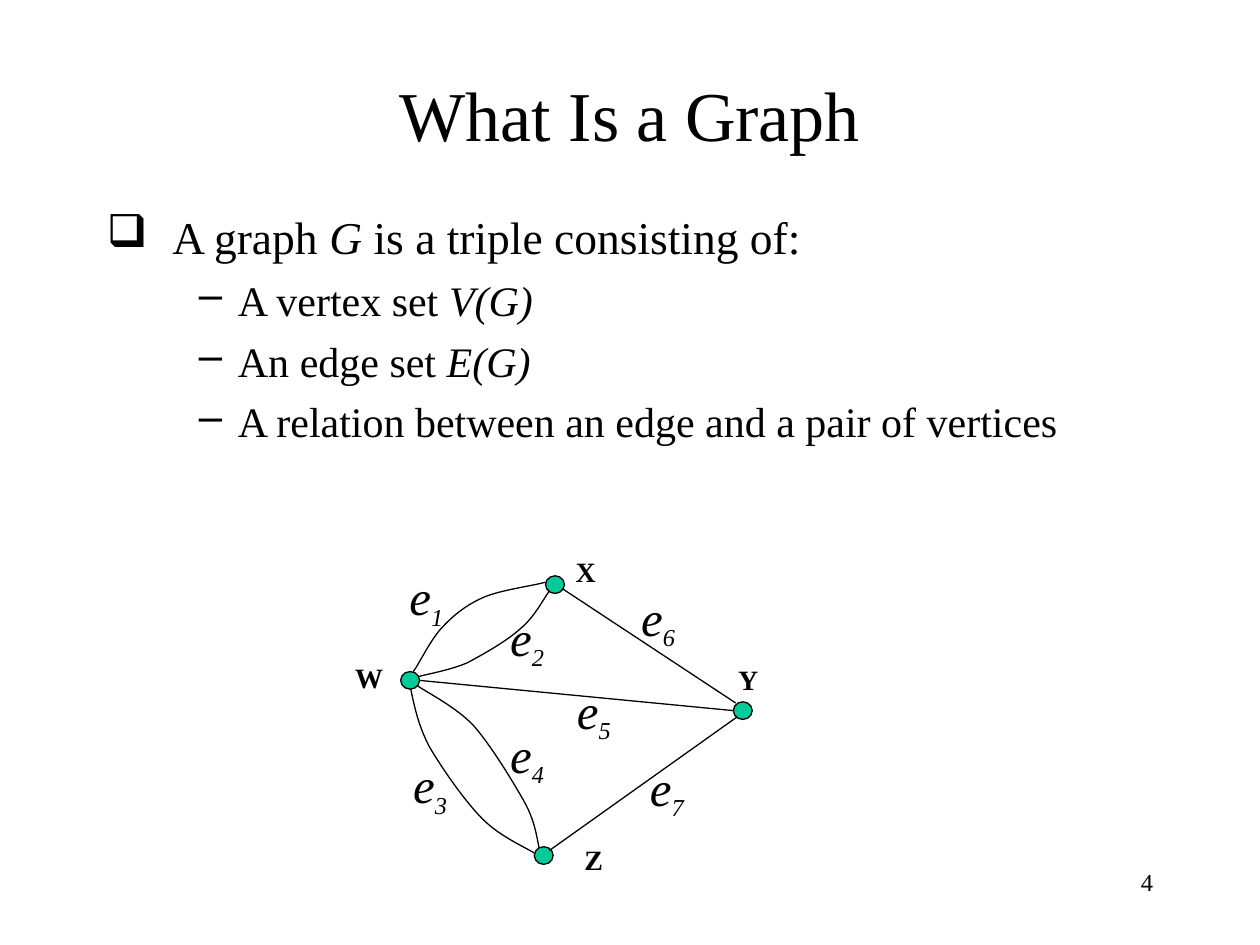
from dataclasses import dataclass

from lxml import etree
from pptx import Presentation
from pptx.dml.color import RGBColor
from pptx.enum.shapes import MSO_CONNECTOR, MSO_SHAPE
from pptx.enum.text import MSO_ANCHOR, MSO_AUTO_SIZE, PP_ALIGN
from pptx.oxml.ns import qn
from pptx.util import Pt

LINE, OVAL = MSO_CONNECTOR.STRAIGHT, MSO_SHAPE.OVAL
LEFT, MID, RIGHT = PP_ALIGN.LEFT, PP_ALIGN.CENTER, PP_ALIGN.RIGHT
CENTRE, TOP = MSO_ANCHOR.MIDDLE, MSO_ANCHOR.TOP
GROW, FIXED = MSO_AUTO_SIZE.SHAPE_TO_FIT_TEXT, MSO_AUTO_SIZE.NONE
PX = 9144  # 100 px to the inch


@dataclass(frozen=True)
class Theme:
    face: str = "Times New Roman"
    ink: RGBColor = RGBColor(0, 0, 0)
    node: RGBColor = RGBColor(0x00, 0xCC, 0x99)
    line: float = 0.75
    title: int = 40
    lead: int = 26
    item: int = 24
    edge: int = 28
    sub: int = 24
    name: int = 16
    page: int = 14


def emu(*vals):
    return [v * PX for v in vals]


def put(obj, vals):
    for key, val in vals.items():
        setattr(obj, key, val)


class Deck:
    def __init__(self, theme):
        self.theme = theme
        self.file = Presentation()
        self.file.slide_width, self.file.slide_height = emu(1000, 750)
        self.slide = self.file.slides.add_slide(self.file.slide_layouts[5])
        self.shapes = self.slide.shapes

    def add_runs(self, para, runs, size, **look):
        """Runs are (text, format) pairs; a 'base' format shifts the baseline."""
        for text, extra in runs:
            run = para.add_run()
            run.text = text
            vals = {"name": self.theme.face, "size": Pt(size), **look, **extra}
            base = vals.pop("base", None)
            put(run.font, vals)
            run.font.color.rgb = self.theme.ink
            if base:
                run._r.get_or_add_rPr().set("baseline", str(base * 1000))

    def title(self, box, text):
        shape = self.shapes.title
        put(shape, dict(zip(("left", "top", "width", "height"), emu(*box))))
        put(shape.text_frame, {"word_wrap": True, "auto_size": FIXED,
                               "vertical_anchor": CENTRE})
        para = shape.text_frame.paragraphs[0]
        para.alignment = MID
        self.add_runs(para, [(text, {})], self.theme.title)

    def frame(self, box, size=FIXED):
        frame = self.shapes.add_textbox(*emu(*box)).text_frame
        put(frame, {"word_wrap": True, "auto_size": size,
                    "vertical_anchor": TOP})
        return frame

    def label(self, box, runs, size, align=LEFT, fit=GROW, **look):
        para = self.frame(box, fit).paragraphs[0]
        para.alignment = align
        self.add_runs(para, runs, size, **look)

    def bullets(self, box, items):
        """Items are (level, runs) pairs."""
        style = [(52, 52, "❑", self.theme.lead), (104, 31, "–", self.theme.item)]
        frame = self.frame(box)
        for i, (level, runs) in enumerate(items):
            para = frame.add_paragraph() if i else frame.paragraphs[0]
            margin, hang, mark, size = style[level]
            put(para, {"level": level, "space_before": Pt(6 if i else 0)})
            props = para._p.get_or_add_pPr()
            props.set("marL", str(margin * PX))
            props.set("indent", str(-hang * PX))
            etree.SubElement(props, qn("a:buChar")).set("char", mark)
            self.add_runs(para, runs, size)

    def stroke(self, line):
        line.color.rgb = self.theme.ink
        line.width = Pt(self.theme.line)

    def node(self, x, y):
        dot = self.shapes.add_shape(OVAL, *emu(x, y, 15, 14))
        dot.shadow.inherit = False
        dot.fill.solid()
        dot.fill.fore_color.rgb = self.theme.node
        self.stroke(dot.line)

    def link(self, *ends):
        edge = self.shapes.add_connector(LINE, *emu(*ends))
        self.stroke(edge.line)
        etree.SubElement(edge._element.spPr, qn("a:effectLst"))

    def curve(self, start, *points):
        """Each three points after the start make one Bezier piece."""
        pen = self.shapes.build_freeform(*start, scale=PX)
        pen.add_line_segments(points, close=False)
        shape = pen.convert_to_shape()
        shape.shadow.inherit = False
        shape.fill.background()
        self.stroke(shape.line)
        legs = list(shape._element.iter(qn("a:lnTo")))
        for i in range(0, len(legs), 3):
            bend = etree.Element(qn("a:cubicBezTo"))
            legs[i].addprevious(bend)
            for leg in legs[i:i + 3]:
                bend.append(leg[0])
                leg.getparent().remove(leg)


def main():
    theme = Theme()
    deck = Deck(theme)
    slant = {"italic": True}

    # Heading and definition
    deck.title((75, 40, 850, 100), "What Is a Graph")
    deck.bullets((75, 161, 850, 524), [
        (0, [("A graph ", {}), ("G", slant), (" is a triple consisting of:", {})]),
        (1, [("A vertex set ", {}), ("V(G)", slant)]),
        (1, [("An edge set ", {}), ("E(G)", slant)]),
        (1, [("A relation between an edge and a pair of vertices", {})]),
    ])

    # Vertices: dot corner, then label corner
    for x, y, name, left, top in [
        (433, 457, "X", 447, 435), (318, 533, "W", 272, 519),
        (582, 557, "Y", 576, 521), (424, 672, "Z", 454, 664),
    ]:
        deck.node(x, y)
        deck.label((left, top, 58, 37), [(name, {})], theme.name, bold=True)

    # Straight edges
    for ends in [(333, 540, 582, 564), (436, 675, 585, 569), (446, 467, 584, 558)]:
        deck.link(*ends)

    # Curved edges
    for points in [
        [(331, 544), (338, 549), (362, 561), (376, 576), (390, 592),
         (407, 620), (416, 636), (425, 652), (426, 665), (428, 673)],
        [(326, 547), (329, 561), (332, 576), (341, 593), (351, 610),
         (369, 636), (383, 650), (397, 664), (416, 672), (424, 677)],
        [(328, 533), (332, 528), (341, 509), (350, 499), (359, 489),
         (370, 480), (384, 474), (398, 468), (423, 465), (433, 462)],
        [(332, 537), (339, 535), (357, 532), (371, 526), (384, 519),
         (402, 509), (413, 499), (424, 490), (431, 476), (436, 469)],
    ]:
        deck.curve(*points)

    # Edge labels, numbered from 1
    spots = [(315, 445), (395, 477), (318, 594), (395, 570),
             (448, 535), (499, 461), (506, 596)]
    for i, (x, y) in enumerate(spots, 1):
        runs = [("e", {}), (str(i), {"size": Pt(theme.sub), "base": -25})]
        deck.label((x, y, 72, 61), runs, theme.edge, italic=True)

    # Page number
    deck.label((717, 683, 208, 50), [("4", {})], theme.page, RIGHT, FIXED)
    deck.file.save("out.pptx")


if __name__ == "__main__":
    main()
